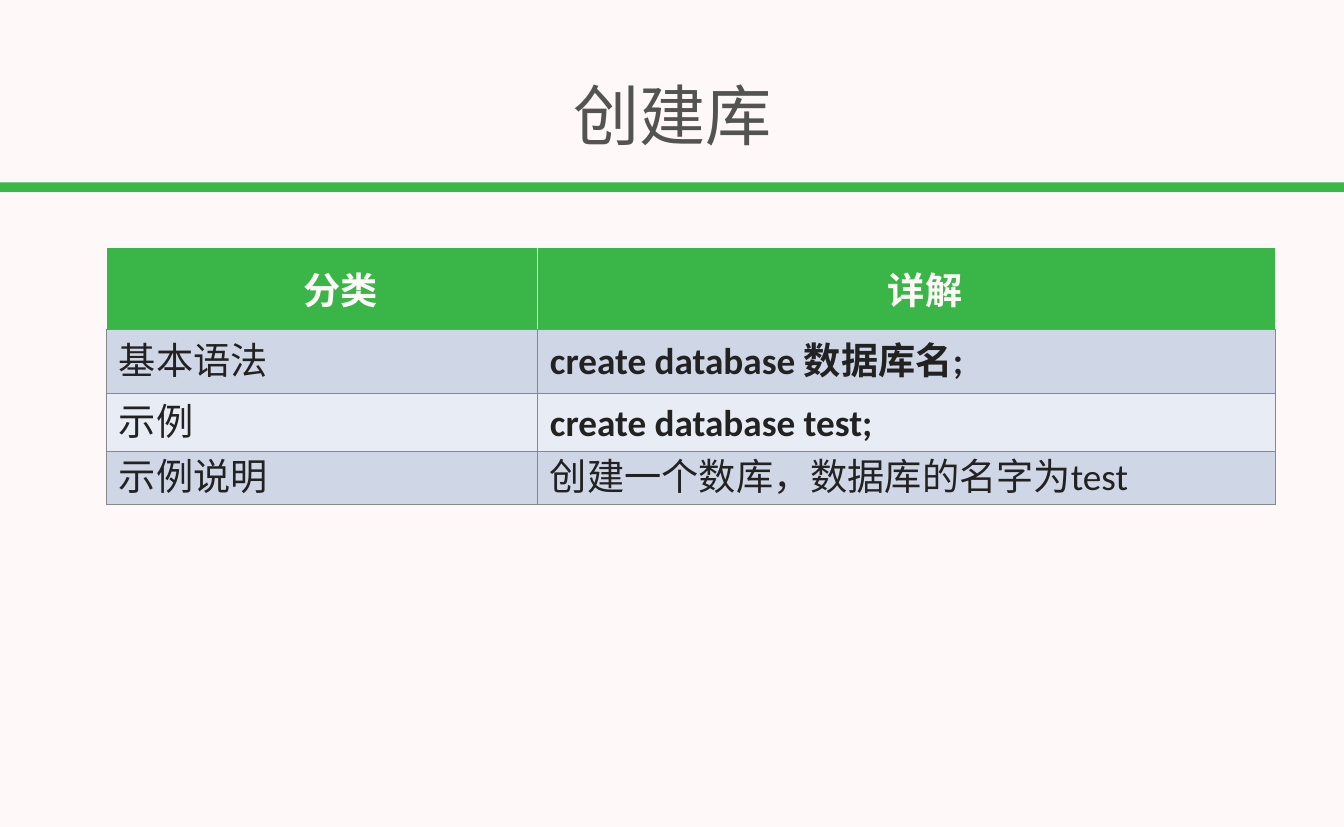
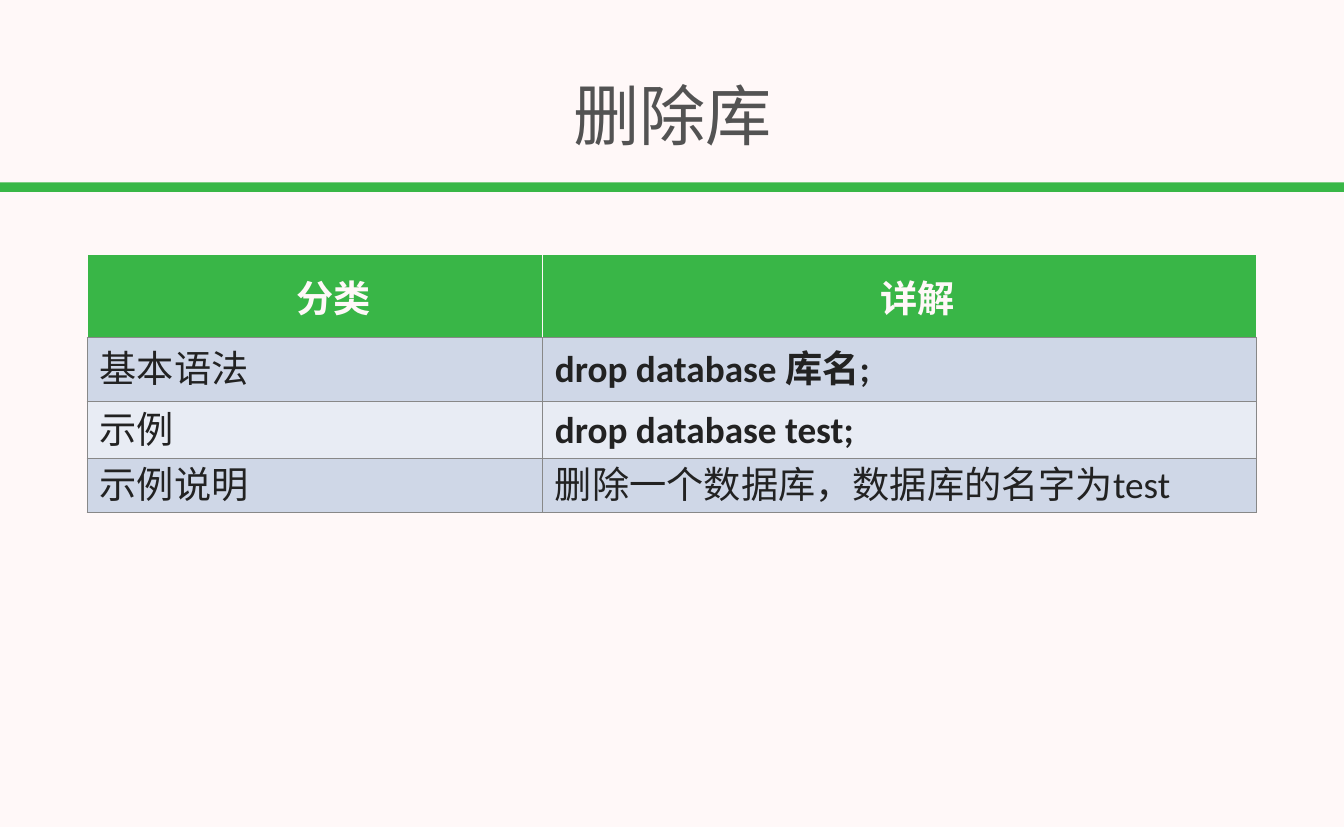
from pptx import Presentation
from pptx.dml.color import RGBColor
from pptx.enum.shapes import MSO_SHAPE
from pptx.enum.text import MSO_ANCHOR, PP_ALIGN
from pptx.oxml import parse_xml
from pptx.oxml.ns import nsdecls
from pptx.util import Cm, Pt

RECTANGLE = MSO_SHAPE.RECTANGLE
MIDDLE = MSO_ANCHOR.MIDDLE
CENTER = PP_ALIGN.CENTER

SLIDE_WIDTH, SLIDE_HEIGHT = 45.87, 28.22
FONT = "Calibri"
BACKGROUND = "FFF8F8"
BAND_GREEN = "39B747"
HEADER_GREEN = "39B647"
TITLE_GREY = "535353"
TEXT_DARK = "222222"
BORDER_GREY = "888888"
ROW_FILLS = ("CFD7E7", "E8ECF4")

TITLE_BOX = (0.13, 2.08, 45.64, 3.61)
BAND_BOX = (0, 6.22, SLIDE_WIDTH, 0.33)
ROW_HEIGHTS = (2.82, 2.18, 1.96, 1.83)
TABLE_WIDTH = 39.9
HEADERS = ("分类", "详解")
CATEGORIES = ("基本语法", "示例", "示例说明")
BOLD_CATEGORIES = ("基本语法", "示例")

# title, table left, table top, first column width, details by category
SLIDES = (
    ("创建库", 3.63, 8.43, 14.71,
     ("create database 数据库名;", "create database test;",
      "创建一个数库，数据库的名字为test")),
    ("删除库", 2.97, 8.69, 15.54,
     ("drop database 库名;", "drop database test;",
      "删除一个数据库，数据库的名字为test")),
)


def color(hex_code):
    return RGBColor.from_string(hex_code)


def lengths(box):
    return [Cm(value) for value in box]


def paint(target, hex_code):
    target.fill.solid()
    target.fill.fore_color.rgb = color(hex_code)


def style_text(paragraph, size, hex_code, bold=False):
    for run in paragraph.runs:
        run.font.name = FONT
        run.font.size = Pt(size)
        run.font.bold = bold
        run.font.color.rgb = color(hex_code)


def set_margins(holder, horizontal, vertical):
    holder.margin_left = holder.margin_right = Cm(horizontal)
    holder.margin_top = holder.margin_bottom = Cm(vertical)


def set_borders(cell, sides, bottom):
    """Draw 1 pt borders; the bottom one may differ from the other sides."""
    properties = cell._tc.get_or_add_tcPr()
    edges = (("lnL", sides), ("lnR", sides), ("lnT", sides), ("lnB", bottom))
    for position, (edge, hex_code) in enumerate(edges):
        properties.insert(position, parse_xml(
            f'<a:{edge} {nsdecls("a")} w="{Pt(1)}"><a:solidFill>'
            f'<a:srgbClr val="{hex_code}"/></a:solidFill></a:{edge}>'))


def add_title(slide, title, box):
    frame = slide.shapes.add_textbox(*lengths(box)).text_frame
    frame.word_wrap = True
    frame.vertical_anchor = MIDDLE
    set_margins(frame, 0.13, 0.13)
    frame.text = title
    frame.paragraphs[0].alignment = CENTER
    style_text(frame.paragraphs[0], 64, TITLE_GREY)


def add_band(slide, box):
    band = slide.shapes.add_shape(RECTANGLE, *lengths(box))
    band.shadow.inherit = False
    paint(band, BAND_GREEN)
    band.line.fill.background()


def fill_header_cell(cell, header):
    cell.text = header
    cell.vertical_anchor = MIDDLE
    set_margins(cell, 0, 0)
    paint(cell, HEADER_GREEN)
    set_borders(cell, BACKGROUND, BORDER_GREY)
    paragraph = cell.text_frame.paragraphs[0]
    paragraph.alignment = CENTER
    paragraph._p.get_or_add_pPr().set("indent", str(Cm(1.27)))
    style_text(paragraph, 36, BACKGROUND, bold=True)


def fill_body_cell(cell, text, fill, bold):
    cell.text = text
    cell.vertical_anchor = MIDDLE
    set_margins(cell, 0.43, 0.1)
    paint(cell, fill)
    set_borders(cell, BORDER_GREY, BORDER_GREY)
    paragraph = cell.text_frame.paragraphs[0]
    paragraph.line_spacing = Pt(46)
    style_text(paragraph, 36, TEXT_DARK, bold)


def add_syntax_table(slide, box, category_width, details):
    table = slide.shapes.add_table(
        len(ROW_HEIGHTS), len(HEADERS), *lengths(box)).table
    table.columns[0].width = Cm(category_width)
    table.columns[1].width = Cm(box[2] - category_width)
    for row, height in zip(table.rows, ROW_HEIGHTS):
        row.height = Cm(height)
    for column, header in enumerate(HEADERS):
        fill_header_cell(table.cell(0, column), header)
    for index, (category, detail) in enumerate(zip(CATEGORIES, details)):
        fill = ROW_FILLS[index % len(ROW_FILLS)]
        fill_body_cell(table.cell(index + 1, 0), category, fill, False)
        fill_body_cell(table.cell(index + 1, 1), detail, fill,
                       category in BOLD_CATEGORIES)


def add_syntax_slide(prs, title, left, top, category_width, details):
    slide = prs.slides.add_slide(prs.slide_layouts[6])
    add_band(slide, BAND_BOX)
    add_title(slide, title, TITLE_BOX)
    table_box = (left, top, TABLE_WIDTH, sum(ROW_HEIGHTS))
    add_syntax_table(slide, table_box, category_width, details)


def main():
    prs = Presentation()
    prs.slide_width, prs.slide_height = Cm(SLIDE_WIDTH), Cm(SLIDE_HEIGHT)
    paint(prs.slide_master.background, BACKGROUND)
    for content in SLIDES:
        add_syntax_slide(prs, *content)
    prs.save("out.pptx")


if __name__ == "__main__":
    main()
